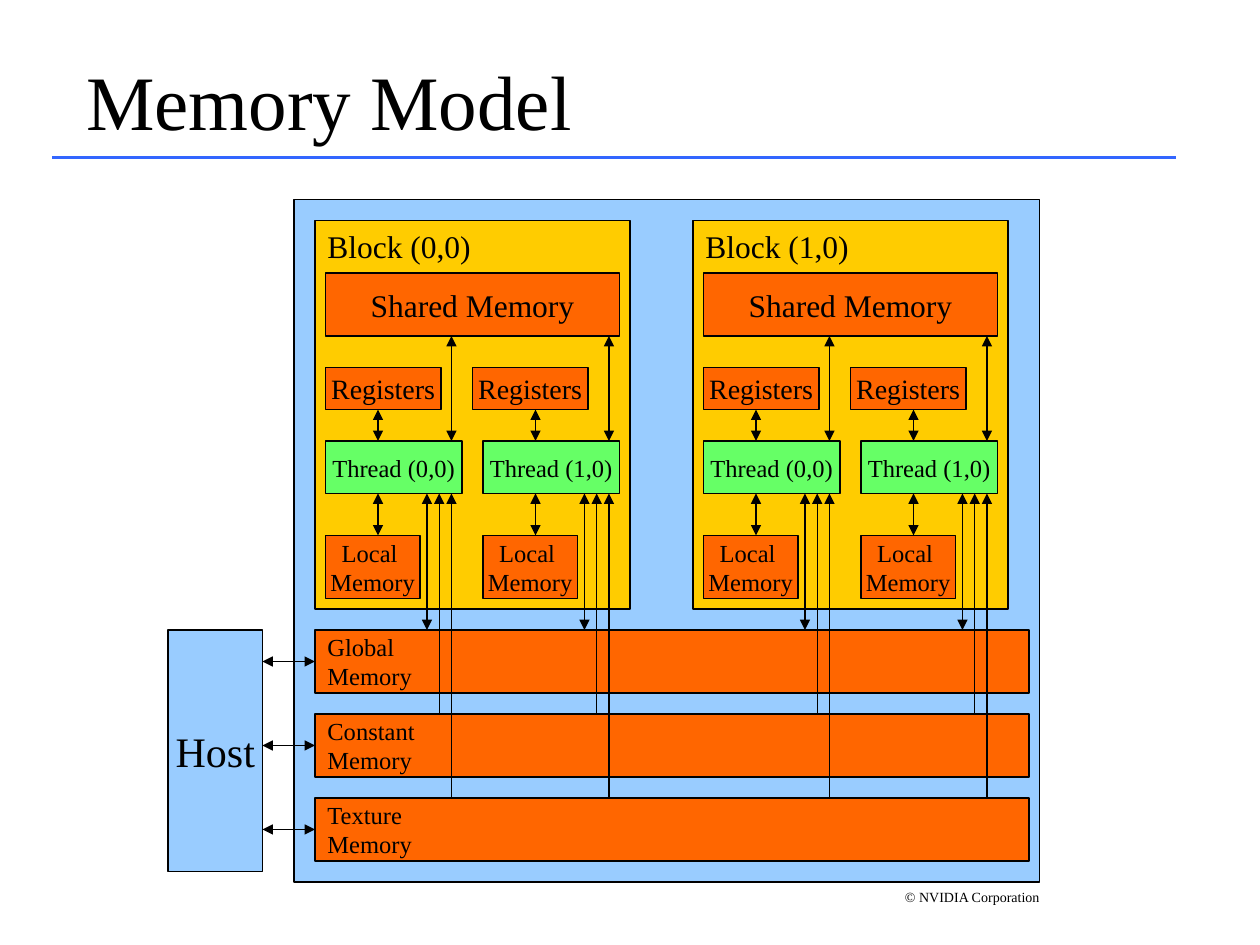
from dataclasses import dataclass

from lxml import etree
from pptx import Presentation
from pptx.dml.color import RGBColor
from pptx.enum.shapes import MSO_CONNECTOR, MSO_SHAPE
from pptx.enum.text import MSO_ANCHOR, MSO_AUTO_SIZE, PP_ALIGN
from pptx.oxml.ns import qn
from pptx.util import Inches, Pt

RECTANGLE = MSO_SHAPE.RECTANGLE
STRAIGHT = MSO_CONNECTOR.STRAIGHT
LEFT, CENTER = PP_ALIGN.LEFT, PP_ALIGN.CENTER
TOP, MIDDLE = MSO_ANCHOR.TOP, MSO_ANCHOR.MIDDLE
NO_AUTOFIT = MSO_AUTO_SIZE.NONE

FONT = "Times New Roman"
COLORS = {
    "device": "99CCFF",
    "block": "FFCC00",
    "memory": "FF6600",
    "thread": "66FF66",
    "ink": "000000",
    "rule": "3366FF",
}
LEFT_SIDE = 1

presentation = Presentation()
presentation.slide_width = Inches(10)
presentation.slide_height = Inches(7.5)
slide = presentation.slides.add_slide(presentation.slide_layouts[5])

# The diagram sits on a grid of 120 columns by 90 rows
CELL = presentation.slide_width / 120


@dataclass
class Box:
    column: float
    row: float
    columns: float
    rows: float
    color: str
    text: str = ""
    size: int = 14
    align: int = CENTER
    anchor: int = MIDDLE


@dataclass
class Arrow:
    column: float
    row: float
    end_column: float
    end_row: float
    color: str = "ink"
    width: float = 0.75
    head: bool = True
    tail: bool = True


def cells(*counts: float) -> list[int]:
    return [round(count * CELL) for count in counts]


def rgb(name: str) -> RGBColor:
    return RGBColor.from_string(COLORS[name])


def write(text_frame, text: str, size: int, align: int, anchor: int, wrap: bool) -> None:
    text_frame.text = text
    text_frame.word_wrap = wrap
    text_frame.auto_size = NO_AUTOFIT
    text_frame.vertical_anchor = anchor
    for paragraph in text_frame.paragraphs:
        paragraph.alignment = align
        paragraph.font.name = FONT
        paragraph.font.size = Pt(size)
        paragraph.font.color.rgb = rgb("ink")


def draw_box(box: Box):
    shape = slide.shapes.add_shape(
        RECTANGLE, *cells(box.column, box.row, box.columns, box.rows))
    shape.shadow.inherit = False
    shape.fill.solid()
    shape.fill.fore_color.rgb = rgb(box.color)
    shape.line.color.rgb = rgb("ink")
    shape.line.width = Pt(0.75)
    if box.text:
        write(shape.text_frame, box.text, box.size, box.align, box.anchor,
              wrap=box.align == LEFT)
    return shape


def draw_arrow(arrow: Arrow):
    connector = slide.shapes.add_connector(
        STRAIGHT, *cells(arrow.column, arrow.row, arrow.end_column, arrow.end_row))
    connector.line.color.rgb = rgb(arrow.color)
    connector.line.width = Pt(arrow.width)
    line = connector.line._get_or_add_ln()
    for tag, wanted in (("a:headEnd", arrow.head), ("a:tailEnd", arrow.tail)):
        if wanted:
            etree.SubElement(line, qn(tag), type="triangle")
    etree.SubElement(connector._element.spPr, qn("a:effectLst"))
    return connector


def draw_thread(left: float, index: int) -> None:
    """Draw one thread with its own memories, left being its first column."""
    draw_box(Box(left - index, 35, 11, 4, "memory", "Registers", 16))
    draw_box(Box(left, 51, 9, 6, "memory", "Local \nMemory"))
    draw_box(Box(left, 42, 13, 5, "thread", f"Thread ({index},0)"))


def draw_thread_arrows(left: float, index: int) -> None:
    own, shared = left + 5, left + 12
    draw_arrow(Arrow(shared, 42, shared, 32))
    draw_arrow(Arrow(own, 42, own, 39))
    draw_arrow(Arrow(own, 51, own, 47))
    # Global, constant and texture memory; only global can be written
    for step, row in enumerate(BAR_ROWS):
        column = shared - (2 - step) * 7 / 6
        is_global = step == 0
        draw_arrow(Arrow(column, row, column, 47, head=is_global,
                         width=1 if is_global and index else 0.75))


def draw_block(left: float, index: int) -> None:
    draw_box(Box(left, 21, 30, 37, "block", f"Block ({index},0)", 18, LEFT, TOP))
    draw_box(Box(left + 1, 26, 28, 6, "memory", "Shared Memory", 18))
    threads = [(left + 1 + 15 * number, number) for number in range(2)]
    for thread in threads:
        draw_thread(*thread)
    for thread in threads:
        draw_thread_arrows(*thread)


BAR_NAMES = ("Global", "Constant", "Texture")
BAR_ROWS = [60 + 8 * number for number in range(3)]

# Title and rule
title = slide.shapes.title
title.left, title.top, title.width, title.height = cells(7, 2, 102, 15)
write(title.text_frame, "Memory Model", 44, LEFT, MIDDLE, wrap=True)
draw_arrow(Arrow(5, 15, 112, 15, "rule", 2.25, head=False, tail=False))

# Device with its memory bars and blocks
draw_box(Box(28, 19, 71, 65, "device"))
bars = [draw_box(Box(30, row, 68, 6, "memory", f"{name}\nMemory", align=LEFT))
        for name, row in zip(BAR_NAMES, BAR_ROWS)]
for number in range(2):
    draw_block(30 + 36 * number, number)

# Host and its links to the memory bars
draw_box(Box(16, 60, 9, 23, "device", "Host", 24))
for bar, row in zip(bars, BAR_ROWS):
    link = draw_arrow(Arrow(25, row + 3, 30, row + 3))
    link.end_connect(bar, LEFT_SIDE)

# Copyright line
copyright_box = slide.shapes.add_textbox(*cells(85, 84, 15.25, 2.9))
write(copyright_box.text_frame, "© NVIDIA Corporation", 8, LEFT, TOP, wrap=False)

presentation.save("out.pptx")
